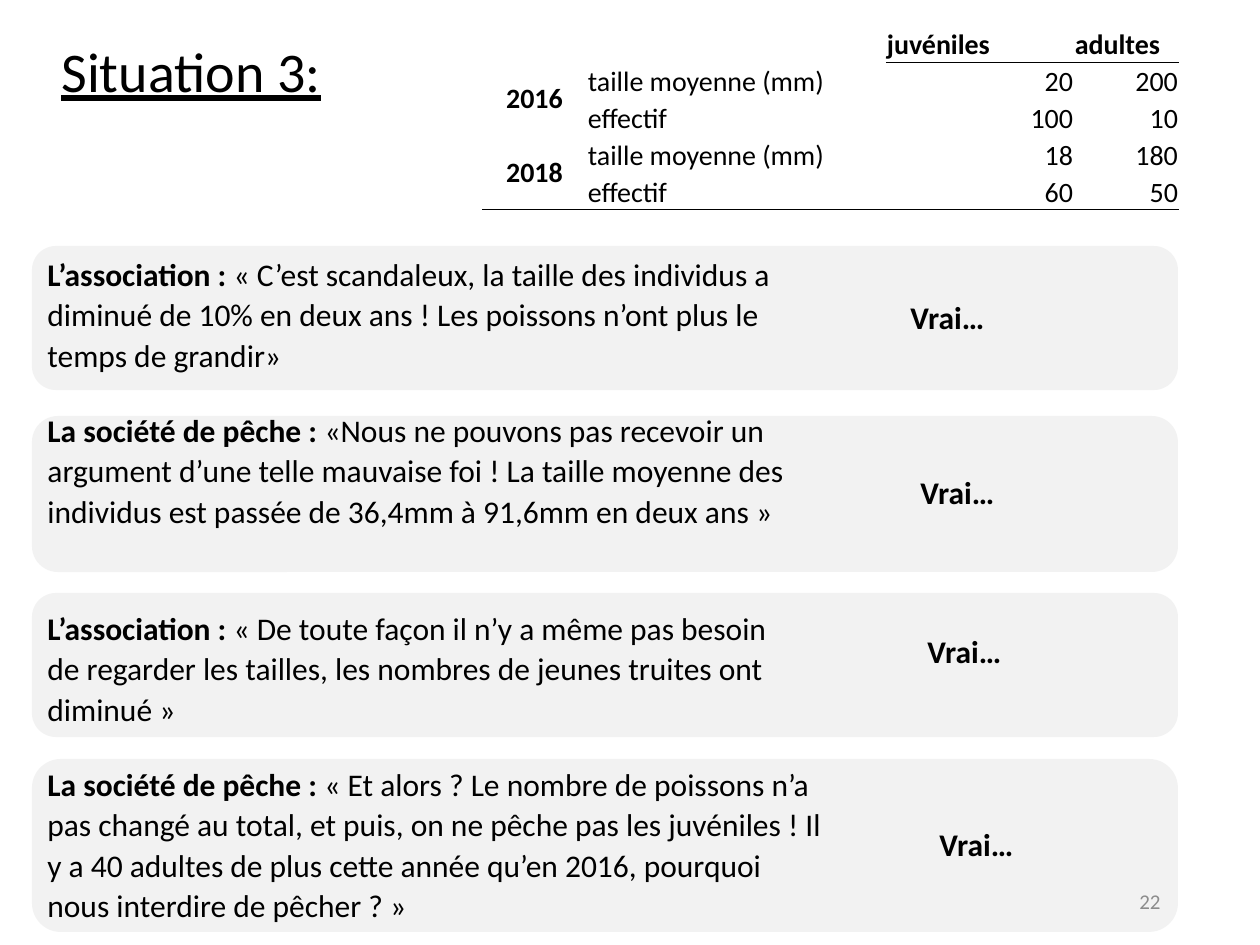
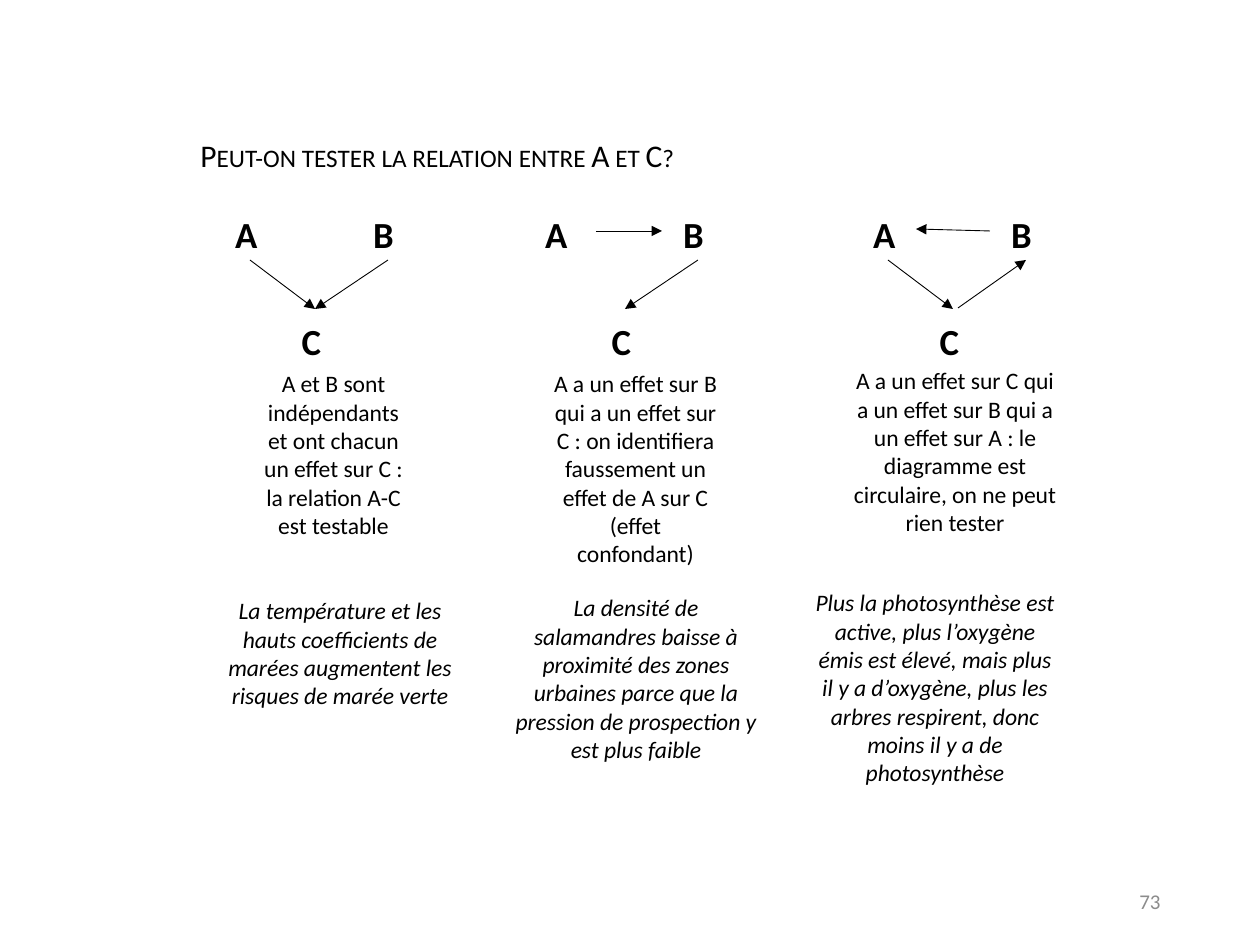
import lxml.etree
import pptx
import pptx.dml.color
import pptx.enum.shapes
import pptx.enum.text
import pptx.oxml.ns
import pptx.util
from dataclasses import dataclass

PX = 914400 / 126
ALIGN = pptx.enum.text.PP_ALIGN
ANCHOR = pptx.enum.text.MSO_ANCHOR
qn = pptx.oxml.ns.qn


@dataclass(frozen=True)
class Theme:
    font: str = "Calibri"
    ink: str = "000000"
    card: str = "F2F2F2"
    muted: str = "8C8C8C"
    title: float = 32
    node: float = 21
    body: float = 18
    cell: float = 16
    caption: float = 13.5
    footer: float = 12
    hairline: float = 0.5
    leading: float = 1.07
    plain_table: str = "{2D5ABB26-0587-4C30-8999-92F81FD0307C}"


THEME = Theme()

TROUT_COLUMNS = [105, 299, 188, 105]
TROUT_ROW_HEIGHT = 37
TROUT_ROWS = [
    ("", "", "juvéniles", "adultes"),
    ("2016", "taille moyenne (mm)", "20", "200"),
    ("", "effectif", "100", "10"),
    ("2018", "taille moyenne (mm)", "18", "180"),
    ("", "effectif", "60", "50"),
]

# card (top, height), speech (top, width, height), verdict (left, top), speaker, words
CLAIMS = [
    ((246, 144), (246, 786, 135), (898, 292), "L’association : ",
     "« C’est scandaleux, la taille des individus a diminué de 10% en deux ans ! "
     "Les poissons n’ont plus le temps de grandir»"),
    ((416, 156), (402, 774, 176), (908, 467), "La société de pêche : ",
     "«Nous ne pouvons pas recevoir un argument d’une telle mauvaise foi ! "
     "La taille moyenne des individus est passée de 36,4mm à 91,6mm en deux ans »"),
    ((593, 144), (600, 765, 135), (915, 626), "L’association : ",
     "« De toute façon il n’y a même pas besoin de regarder les tailles, "
     "les nombres de jeunes truites ont diminué »"),
    ((759, 173), (756, 820, 176), (927, 819), "La société de pêche : ",
     "« Et alors ? Le nombre de poissons n’a pas changé au total, et puis, "
     "on ne pêche pas les juvéniles ! Il y a 40 adultes de plus cette année "
     "qu’en 2016, pourquoi nous interdire de pêcher ? »"),
]

# Positions inside a diagram, measured from the corner of node A
NODES = {"A ": (0, 0), "B ": (137, 0), "C ": (65, 107)}
NODE_SIZE = (71, 58)
DIAGRAM_TOP = 202
PORTS = {
    "A below": (35, 58), "B below": (173, 58), "C above": (100, 107),
    "A right": (71, 29), "B left": (137, 29),
    "A near": (63, 27), "C right": (105, 106),
}
DIAGRAMS = [
    {"left": 215,
     "arrows": [("A below", "C above"), ("B below", "C above")],
     "meaning": ((246, 363, 175, 184),
                 "A et B sont indépendants et ont chacun un effet sur C : "
                 "la relation A-C est testable"),
     "example": ((204, 590, 272, 127),
                 "La température et les hauts coefficients de marées augmentent "
                 "les risques de marée verte")},
    {"left": 525,
     "arrows": [("B below", "C above"), ("A right", "B left")],
     "meaning": ((538, 363, 195, 213),
                 "A a un effet sur B qui a un effet sur C : on identifiera "
                 "faussement un effet de A sur C (effet confondant)"),
     "example": ((500, 587, 272, 184),
                 "La densité de salamandres baisse à proximité des zones urbaines "
                 "parce que la pression de prospection y est plus faible")},
    {"left": 853,
     "arrows": [("A below", "C above"), ("B left", "A near"), ("C right", "B below")],
     "meaning": ((839, 360, 232, 184),
                 "A a un effet sur C qui a un effet sur B qui a un effet sur A : "
                 "le diagramme est circulaire, on ne peut rien tester"),
     "example": ((799, 582, 272, 213),
                 "Plus la photosynthèse est active, plus l’oxygène émis est élevé, "
                 "mais plus il y a d’oxygène, plus les arbres respirent, donc moins "
                 "il y a de photosynthèse")},
]


def emu(*lengths):
    return [pptx.util.Emu(round(length * PX)) for length in lengths]


def rgb(color):
    return pptx.dml.color.RGBColor.from_string(color)


def add_span(para, text, size, color=THEME.ink, **style):
    span = para.add_run()
    span.text = text
    span.font.name = THEME.font
    span.font.size = pptx.util.Pt(size)
    span.font.color.rgb = rgb(color)
    for name, value in style.items():
        setattr(span.font, name, value)
    return span


def add_text_box(page, place, align=ALIGN.LEFT, anchor=ANCHOR.TOP):
    """Add an empty wrapping text box and return its first paragraph."""
    frame = page.shapes.add_textbox(*emu(*place)).text_frame
    frame.word_wrap = True
    frame.vertical_anchor = anchor
    para = frame.paragraphs[0]
    para.alignment = align
    return para


def loosen(para, after):
    para.line_spacing = THEME.leading
    para.space_after = pptx.util.Pt(after)


def add_page(deck, number):
    page = deck.slides.add_slide(deck.slide_layouts[6])
    para = add_text_box(page, (890, 876, 283, 50), ALIGN.RIGHT, ANCHOR.MIDDLE)
    add_span(para, number, THEME.footer, THEME.muted)
    return page


def add_card(page, top, height):
    card = page.shapes.add_shape(pptx.enum.shapes.MSO_SHAPE.ROUNDED_RECTANGLE,
                                 *emu(32, top, 1146, height))
    card.shadow.inherit = False
    card.fill.solid()
    card.fill.fore_color.rgb = rgb(THEME.card)
    card.line.fill.background()


def add_arrow(page, start, end):
    arrow = page.shapes.add_connector(pptx.enum.shapes.MSO_CONNECTOR.STRAIGHT,
                                      *emu(*start, *end))
    arrow.line.color.rgb = rgb(THEME.ink)
    arrow.line.width = pptx.util.Pt(THEME.hairline)
    lxml.etree.SubElement(arrow.line._get_or_add_ln(), qn("a:tailEnd"), type="triangle")
    lxml.etree.SubElement(arrow._element.spPr, qn("a:effectLst"))


def underline_cell(cell):
    width = str(int(pptx.util.Pt(THEME.hairline)))
    border = lxml.etree.Element(qn("a:lnB"), w=width)
    fill = lxml.etree.SubElement(border, qn("a:solidFill"))
    lxml.etree.SubElement(fill, qn("a:srgbClr"), val=THEME.ink)
    cell._tc.get_or_add_tcPr().insert(0, border)


def fill_cell(cell, text, row, column):
    cell.fill.background()
    cell.margin_left, cell.margin_right, cell.margin_top, cell.margin_bottom = emu(1, 1, 1, 0)
    cell.vertical_anchor = ANCHOR.MIDDLE if column == 0 else ANCHOR.BOTTOM
    para = cell.text_frame.paragraphs[0]
    para.font.size = pptx.util.Pt(THEME.cell)
    if column == 0:
        para.alignment = ALIGN.CENTER
    elif column > 1 and row > 0:
        para.alignment = ALIGN.RIGHT
    if text:
        add_span(para, text, THEME.cell, bold=row == 0 or column == 0)


def add_trout_table(page):
    rows, columns = len(TROUT_ROWS), len(TROUT_COLUMNS)
    place = emu(482, 25, sum(TROUT_COLUMNS), rows * TROUT_ROW_HEIGHT)
    table = page.shapes.add_table(rows, columns, *place).table
    table.first_row = table.horz_banding = False
    table._tbl.tblPr.find(qn("a:tableStyleId")).text = THEME.plain_table
    for column, width in zip(table.columns, emu(*TROUT_COLUMNS)):
        column.width = width
    for row, texts in enumerate(TROUT_ROWS):
        table.rows[row].height = emu(TROUT_ROW_HEIGHT)[0]
        for column, text in enumerate(texts):
            fill_cell(table.cell(row, column), text, row, column)
    for top in (1, 3):
        table.cell(top, 0).merge(table.cell(top + 1, 0))
    last = rows - 1
    for row, column in [(0, 2), (0, 3), (3, 0)] + [(last, c) for c in range(columns)]:
        underline_cell(table.cell(row, column))


def build_situation(deck):
    page = add_page(deck, "22")
    for card, speech, verdict, speaker, words in CLAIMS:
        add_card(page, *card)
        top, width, height = speech
        para = add_text_box(page, (23, top, width, height))
        loosen(para, 8)
        para._p.get_or_add_pPr().set("marL", str(emu(12)[0]))
        add_span(para, speaker, THEME.body, bold=True)
        add_span(para, words, THEME.body)
        add_span(add_text_box(page, (*verdict, 180, 53)), "Vrai…", THEME.body, bold=True)
    # The page number stays in front of the last card
    tree = page.shapes._spTree
    tree.append(page.shapes[0]._element)
    add_trout_table(page)
    title = add_text_box(page, (49, 30, 1021, 81))
    add_span(title, "Situation 3:", THEME.title, underline=True)


def add_diagram(page, diagram):
    def locate(offset):
        return diagram["left"] + offset[0], DIAGRAM_TOP + offset[1]

    for name, offset in NODES.items():
        para = add_text_box(page, (*locate(offset), *NODE_SIZE), ALIGN.CENTER)
        loosen(para, 6)
        add_span(para, name, THEME.node, bold=True)
    for start, end in diagram["arrows"]:
        add_arrow(page, locate(PORTS[start]), locate(PORTS[end]))
    for part, italic in (("meaning", False), ("example", True)):
        place, text = diagram[part]
        para = add_text_box(page, place, ALIGN.CENTER)
        add_span(para, text, THEME.caption, italic=italic)


def build_relations(deck):
    page = add_page(deck, "73")
    question = add_text_box(page, (188, 130, 562, 50))
    span = add_span(question, "Peut-on tester la relation entre A et C?", THEME.body)
    span.font._element.set("cap", "small")
    for diagram in DIAGRAMS:
        add_diagram(page, diagram)


def main():
    deck = pptx.Presentation()
    deck.slide_width, deck.slide_height = emu(1260, 945)
    build_situation(deck)
    build_relations(deck)
    deck.save("out.pptx")


if __name__ == "__main__":
    main()
